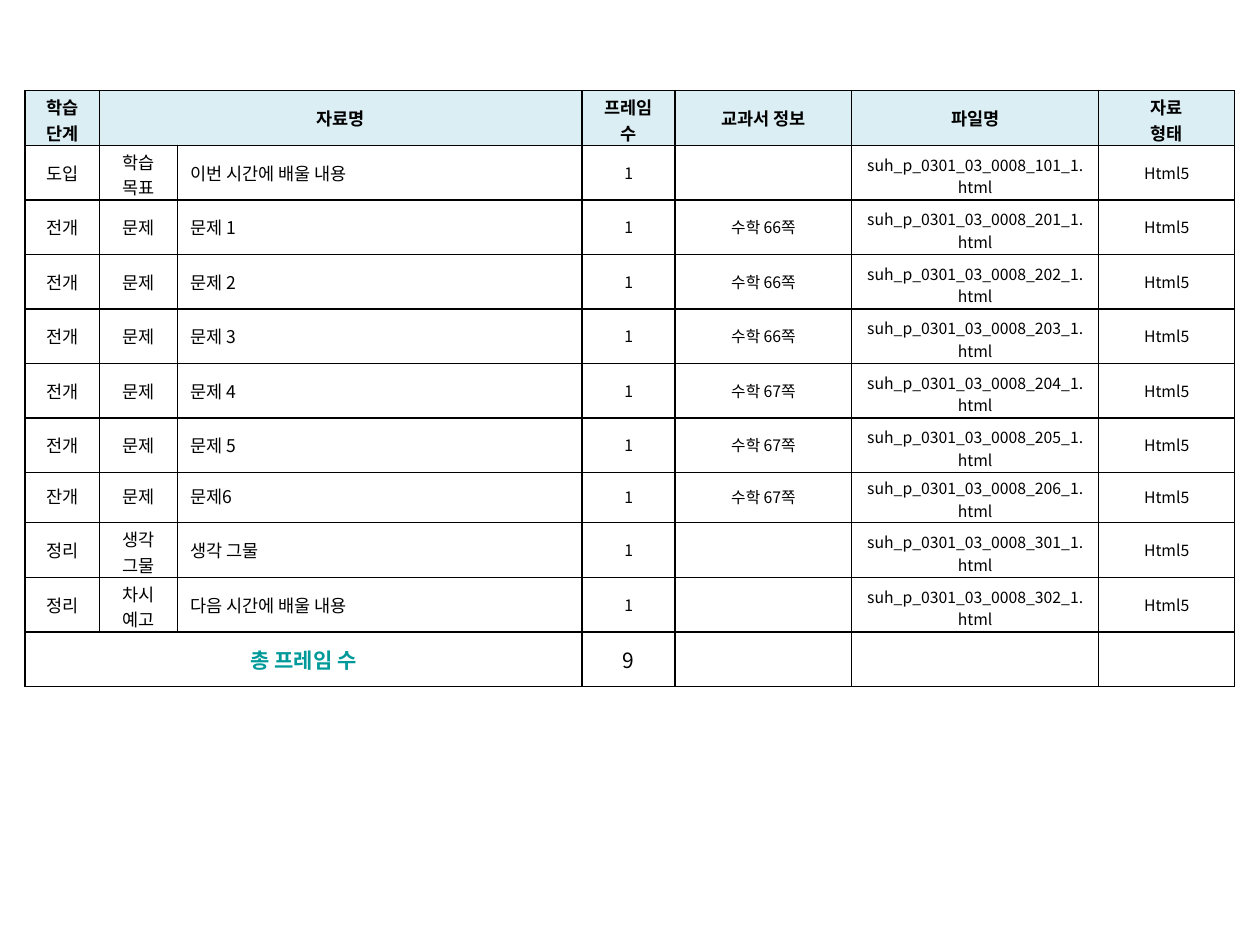
from dataclasses import dataclass

from lxml import etree
from pptx import Presentation
from pptx.dml.color import RGBColor
from pptx.enum.text import MSO_ANCHOR, PP_ALIGN
from pptx.oxml.ns import qn
from pptx.util import Inches, Pt

MIDDLE = MSO_ANCHOR.MIDDLE
LEFT, CENTER = PP_ALIGN.LEFT, PP_ALIGN.CENTER
BORDER_TAGS = ("a:lnL", "a:lnR", "a:lnT", "a:lnB")


@dataclass(frozen=True)
class Theme:
    font: str = "Noto Sans CJK KR"
    ink: str = "000000"
    accent: str = "009999"
    header_fill: str = "DBEEF4"
    small: int = 9
    body: int = 10
    total: int = 12
    border: int = 1


# Column widths and row heights in inches
TABLE_LEFT, TABLE_TOP, TABLE_HEIGHT = 0.2, 0.72, 4.73
COLUMN_WIDTHS = (0.59, 0.62, 3.21, 0.74, 1.4, 1.96, 1.08)
SHORT_ROW, SHORT_HEIGHT = 7, 0.4

HEADERS = ["학습 단계", "자료명", "", "프레임 수", "교과서 정보", "파일명", "자료\n형태"]

# Stage, kind, title, textbook page, file number
LESSONS = [
    ("도입", "학습\n목표", "이번 시간에 배울 내용", "", 101),
    ("전개", "문제", "문제 1", "수학 66쪽", 201),
    ("전개", "문제", "문제 2", "수학 66쪽", 202),
    ("전개", "문제", "문제 3", "수학 66쪽", 203),
    ("전개", "문제", "문제 4", "수학 67쪽", 204),
    ("전개", "문제", "문제 5", "수학 67쪽", 205),
    ("잔개", "문제", "문제6", "수학 67쪽", 206),
    ("정리", "생각\n그물", "생각 그물", "", 301),
    ("정리", "차시 예고", "다음 시간에 배울 내용", "", 302),
]
TWO_LINE_LABELS = {"학습 단계", "프레임 수", "차시 예고"}


def write_text(text_frame, text, *, font, size, color, bold=False, align=CENTER):
    """Write one paragraph per line of text, all in the same format."""
    for index, line in enumerate(text.split("\n")):
        paragraph = text_frame.paragraphs[0] if index == 0 else text_frame.add_paragraph()
        paragraph.alignment = align
        if not line:
            # An empty cell still needs a type size, or its row grows
            end_format = etree.SubElement(paragraph._p, qn("a:endParaRPr"))
            end_format.set("sz", str(size * 100))
            continue
        run = paragraph.add_run()
        run.text = line
        run.font.name = font
        run.font.size = Pt(size)
        run.font.bold = bold
        run.font.color.rgb = RGBColor.from_string(color)
        east_asian = etree.SubElement(run.font._element, qn("a:ea"))
        east_asian.set("typeface", font)


class SlideBuilder:
    def __init__(self, slide, theme):
        self.slide = slide
        self.theme = theme

    def add_table(self, row_heights, column_widths):
        shape = self.slide.shapes.add_table(
            len(row_heights), len(column_widths),
            Inches(TABLE_LEFT), Inches(TABLE_TOP),
            Inches(sum(column_widths)), Inches(sum(row_heights)))
        table = shape.table
        table.first_row = table.horz_banding = False
        for column, width in zip(table.columns, column_widths):
            column.width = Inches(width)
        for row, height in zip(table.rows, row_heights):
            row.height = Inches(height)
        return table

    def add_borders(self, cell):
        properties = cell._tc.get_or_add_tcPr()
        for position, tag in enumerate(BORDER_TAGS):
            line = etree.Element(qn(tag), w=str(Pt(self.theme.border)))
            fill = etree.SubElement(line, qn("a:solidFill"))
            etree.SubElement(fill, qn("a:srgbClr"), val=self.theme.ink)
            properties.insert(position, line)

    def fill_cell(self, cell, text, *, fill=None, tight=False, **text_format):
        cell.vertical_anchor = MIDDLE
        cell.margin_left = cell.margin_right = Inches(0.1)
        if fill:
            cell.fill.solid()
            cell.fill.fore_color.rgb = RGBColor.from_string(fill)
        else:
            cell.fill.background()
        # Two-line cells give up bottom space so the rows keep their height
        two_lines = "\n" in text or text in TWO_LINE_LABELS or text.endswith(".html")
        cell.margin_top = Inches(0.03 if tight else 0.05)
        cell.margin_bottom = Inches(0 if two_lines else 0.05)
        if two_lines and not text.endswith(".html"):
            cell.margin_top = Inches(0.03)
        self.add_borders(cell)
        style = {"font": self.theme.font, "size": self.theme.small,
                 "color": self.theme.ink, **text_format}
        write_text(cell.text_frame, text, **style)


def main():
    theme = Theme()
    presentation = Presentation()
    presentation.slide_width, presentation.slide_height = Inches(10), Inches(7.5)
    slide = presentation.slides.add_slide(presentation.slide_layouts[6])
    builder = SlideBuilder(slide, theme)

    # Grid: every row but the short one shares the remaining height
    row_count = len(LESSONS) + 2
    row_heights = [(TABLE_HEIGHT - SHORT_HEIGHT) / (row_count - 1)] * row_count
    row_heights[SHORT_ROW] = SHORT_HEIGHT
    table = builder.add_table(row_heights, COLUMN_WIDTHS)
    last_row = row_count - 1
    table.cell(0, 1).merge(table.cell(0, 2))
    table.cell(last_row, 0).merge(table.cell(last_row, 2))

    # Header row
    for column, text in enumerate(HEADERS):
        builder.fill_cell(table.cell(0, column), text, fill=theme.header_fill,
                          size=theme.body, bold=True)

    # Lesson rows
    for row, (stage, kind, title, page, number) in enumerate(LESSONS, start=1):
        texts = (stage, kind, title, "1", page,
                 f"suh_p_0301_03_0008_{number}_1.html", "Html5")
        for column, text in enumerate(texts):
            builder.fill_cell(table.cell(row, column), text, tight=row == SHORT_ROW,
                              size=theme.body if column < 3 else theme.small,
                              align=LEFT if column == 2 else CENTER)

    # Total row
    for column, text in enumerate(["총 프레임 수", "", "", str(len(LESSONS)), "", "", ""]):
        is_label = column == 0
        builder.fill_cell(table.cell(last_row, column), text, bold=is_label,
                          size=theme.total if text else theme.small,
                          color=theme.accent if is_label else theme.ink)

    presentation.save("out.pptx")


if __name__ == "__main__":
    main()
